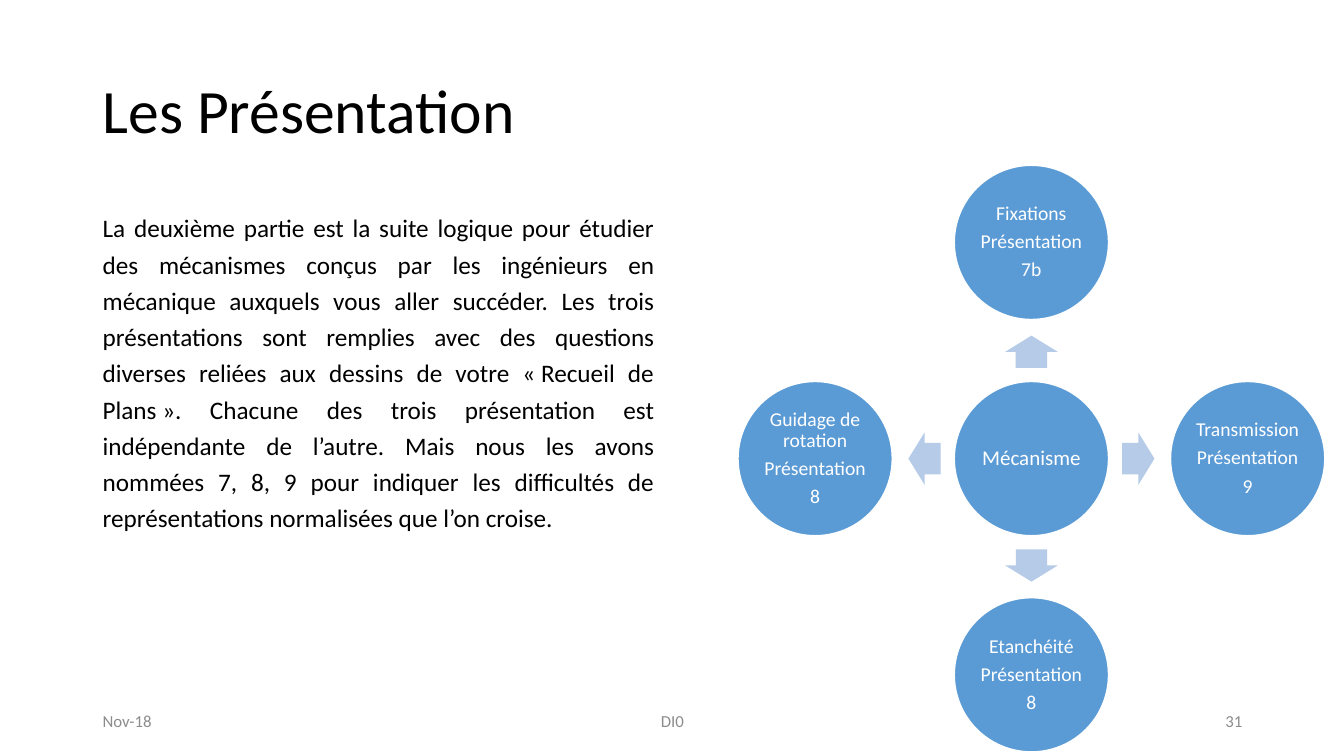
from pptx import Presentation
from pptx.dml.color import RGBColor
from pptx.enum.shapes import MSO_SHAPE
from pptx.enum.text import MSO_ANCHOR, PP_ALIGN
from pptx.util import Inches, Pt

OVAL, ARROW = MSO_SHAPE.OVAL, MSO_SHAPE.RIGHT_ARROW
TOP, MIDDLE = MSO_ANCHOR.TOP, MSO_ANCHOR.MIDDLE
LEFT, CENTER, RIGHT, JUSTIFY = PP_ALIGN.LEFT, PP_ALIGN.CENTER, PP_ALIGN.RIGHT, PP_ALIGN.JUSTIFY
COLORS = {"text": "000000", "footer": "8C8C8C", "circle": "5B9BD5",
          "arrow": "B5CBE7", "white": "FFFFFF"}

presentation = Presentation()
presentation.slide_width = Inches(13.33)
presentation.slide_height = Inches(7.5)
slide = presentation.slides.add_slide(presentation.slide_layouts[6])


def write(shape, text, size, color, align, anchor=MIDDLE, spacing=1.0, before=0, after=0):
    """Fill a shape with text and format all its paragraphs alike."""
    frame = shape.text_frame
    frame.text = text
    frame.word_wrap = True
    frame.vertical_anchor = anchor
    for paragraph in frame.paragraphs:
        paragraph.alignment = align
        paragraph.line_spacing = spacing
        paragraph.space_before = Pt(before)
        paragraph.space_after = Pt(after)
        for run in paragraph.runs:
            run.font.name = "Calibri"
            run.font.size = Pt(size)
            run.font.color.rgb = RGBColor.from_string(COLORS[color])


def add_centered(kind, center_x, center_y, width, height, color):
    """Add a filled, shadowless shape around a centre point."""
    shape = slide.shapes.add_shape(kind, Inches(center_x - width / 2),
                                   Inches(center_y - height / 2), Inches(width), Inches(height))
    shape.shadow.inherit = False
    shape.fill.solid()
    shape.fill.fore_color.rgb = RGBColor.from_string(COLORS[color])
    shape.line.fill.background()
    return shape


# Title and body
title = slide.shapes.add_textbox(Inches(0.92), Inches(0.4), Inches(11.5), Inches(1.45))
write(title, "Les Présentation", 44, "text", LEFT, spacing=0.9)

body_text = (
    "La deuxième partie est la suite logique pour étudier des mécanismes conçus par les "
    "ingénieurs en mécanique auxquels vous aller succéder. Les trois présentations sont "
    "remplies avec des questions diverses reliées aux dessins de votre «\u00a0Recueil de "
    "Plans\u00a0». Chacune des trois présentation est indépendante de l’autre. Mais nous les "
    "avons nommées 7, 8, 9 pour indiquer les difficultés de représentations normalisées que "
    "l’on croise.")
body = slide.shapes.add_textbox(Inches(0.92), Inches(2), Inches(5.67), Inches(4.76))
write(body, body_text, 18, "text", JUSTIFY, anchor=TOP, spacing=1.2, before=10)

# Footer
for left, width, text, align in [(0.92, 3, "Nov-18", LEFT), (4.42, 4.5, "DI0", CENTER),
                                 (9.42, 3, "31", RIGHT)]:
    footer = slide.shapes.add_textbox(Inches(left), Inches(6.95), Inches(width), Inches(0.4))
    write(footer, text, 12, "footer", align)

# Radial diagram: direction x, direction y, arrow rotation, label, size
HUB_X, HUB_Y = 10.23, 4.55
CIRCLE_STEP, ARROW_STEP, DIAMETER = 2.145, 1.06, 1.53
nodes = [
    (0, 0, None, "Mécanisme", 15),
    (0, -1, 270, "Fixations\nPrésentation\n7b", 14),
    (1, 0, 0, "Transmission\nPrésentation\n9", 14),
    (0, 1, 90, "Etanchéité\nPrésentation\n8", 14),
    (-1, 0, 180, "Guidage de rotation\nPrésentation\n8", 14),
]
for step_x, step_y, rotation, label, size in nodes:
    if rotation is not None:
        arrow = add_centered(ARROW, HUB_X + step_x * ARROW_STEP, HUB_Y + step_y * ARROW_STEP,
                             0.32, 0.52, "arrow")
        arrow.adjustments[0] = 0.6
        arrow.adjustments[1] = 0.5
        arrow.rotation = rotation
    circle = add_centered(OVAL, HUB_X + step_x * CIRCLE_STEP, HUB_Y + step_y * CIRCLE_STEP,
                          DIAMETER, DIAMETER, "circle")
    circle.line.color.rgb = RGBColor.from_string(COLORS["white"])
    circle.line.width = Pt(1)
    frame = circle.text_frame
    frame.margin_left = frame.margin_right = Inches(0.02)
    frame.margin_top = frame.margin_bottom = Inches(0.02)
    write(circle, label, size, "white", CENTER, spacing=0.9, after=0.35 * size)

presentation.save("out.pptx")
